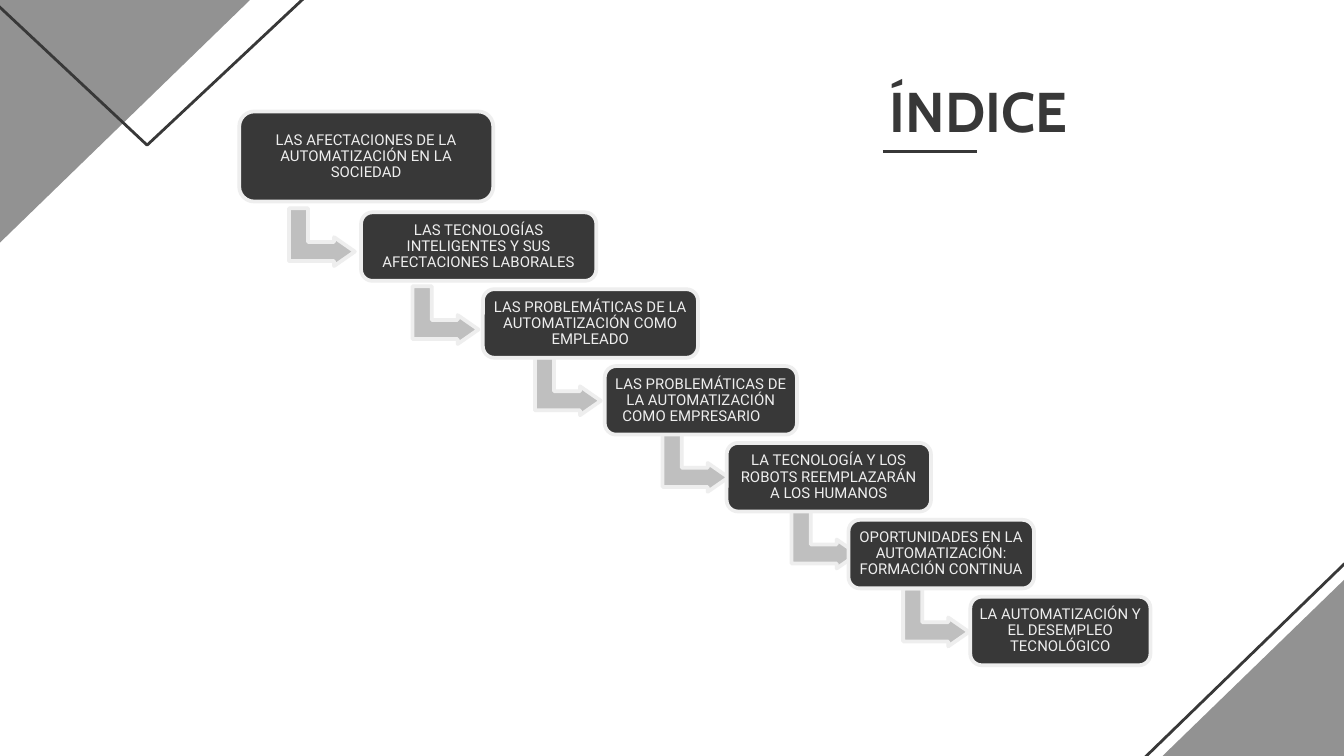
"""Build the index slide: a staircase of topics joined by bent arrows."""
from typing import NamedTuple, Optional

from lxml import etree
from pptx import Presentation
from pptx.dml.color import RGBColor
from pptx.enum import shapes, text
from pptx.oxml.ns import qn
from pptx.util import Inches, Pt

DARK, GREY, SILVER, PALE = "383838", "929292", "BFBFBF", "EEEEEE"
PRESETS = shapes.MSO_SHAPE


class Corner(NamedTuple):
    preset: int
    left: float
    top: float
    width: float
    height: float
    rotation: int
    fill: Optional[str] = None
    line: Optional[str] = None


class Step(NamedTuple):
    topic: str
    width: float
    arrow_left: Optional[float] = None
    arrow_top: Optional[float] = None


CORNERS = [
    Corner(PRESETS.RIGHT_TRIANGLE, 7.68, 2.84, 3.72, 3.61, 0, line=DARK),
    Corner(PRESETS.RIGHT_TRIANGLE, 7.8, 2.84, 3.72, 3.61, 0, fill=GREY),
    Corner(PRESETS.RIGHT_TRIANGLE, -0.83, -1, 3.72, 3.61, 180, fill=GREY),
    Corner(PRESETS.ISOSCELES_TRIANGLE, -1.84, -1.67, 5.87, 2.75, 180, line=DARK),
]

STEPS = [
    Step("LAS AFECTACIONES DE LA AUTOMATIZACIÓN EN LA SOCIEDAD", 1.89, 2.18, 1.52),
    Step("LAS TECNOLOGÍAS INTELIGENTES Y SUS AFECTACIONES LABORALES", 1.75, 3.1, 2.1),
    Step("LAS PROBLEMÁTICAS DE LA AUTOMATIZACIÓN COMO EMPLEADO", 1.6, 4.01, 2.63),
    Step("LAS PROBLEMÁTICAS DE LA AUTOMATIZACIÓN COMO EMPRESARIO\t", 1.43, 4.96, 3.2),
    Step("LA TECNOLOGÍA Y LOS ROBOTS REEMPLAZARÁN A LOS HUMANOS", 1.52, 5.92, 3.77),
    Step("OPORTUNIDADES EN LA AUTOMATIZACIÓN: FORMACIÓN CONTINUA", 1.38, 6.75, 4.35),
    Step("LA AUTOMATIZACIÓN Y EL DESEMPLEO TECNOLÓGICO", 1.34),
]


def colour(value: str) -> RGBColor:
    return RGBColor.from_string(value)


def add_preset(slide, preset, left: float, top: float, width: float, height: float,
               fill: Optional[str], line: Optional[str], weight: float):
    shape = slide.shapes.add_shape(
        preset, Inches(left), Inches(top), Inches(width), Inches(height))
    shape.shadow.inherit = False
    if fill:
        shape.fill.solid()
        shape.fill.fore_color.rgb = colour(fill)
    else:
        shape.fill.background()
    if line:
        shape.line.color.rgb = colour(line)
        shape.line.width = Pt(weight)
    else:
        shape.line.fill.background()
    return shape


def write(frame, words: str, font: str, size: float, ink: str, inset: int, bold: bool):
    frame.word_wrap = True
    frame.margin_left = frame.margin_right = inset
    frame.margin_top = frame.margin_bottom = inset
    frame.text = words
    paragraph = frame.paragraphs[0]
    paragraph.alignment = text.PP_ALIGN.CENTER
    for run in paragraph.runs:
        run.font.name = font
        run.font.size = Pt(size)
        run.font.bold = bold
        run.font.color.rgb = colour(ink)
    return paragraph


def draw_corner(slide, corner: Corner) -> None:
    triangle = add_preset(slide, *corner[:5], corner.fill, corner.line, 1.5)
    triangle.rotation = corner.rotation
    triangle._element.spPr.find(qn("a:xfrm")).set("flipH", "1")


def draw_title(slide) -> None:
    title = slide.shapes.add_textbox(
        Inches(5.64), Inches(0.47), Inches(3.28), Inches(0.58))
    write(title.text_frame, "ÍNDICE", "Cabin", 30, DARK, Inches(0.1), True)
    underline = slide.shapes.add_connector(
        shapes.MSO_CONNECTOR.STRAIGHT,
        Inches(6.57), Inches(1.13), Inches(7.27), Inches(1.13))
    underline.line.color.rgb = colour(DARK)
    underline.line.width = Pt(1.5)
    etree.SubElement(underline._element.spPr, qn("a:effectLst"))


def draw_step(slide, index: int, step: Step) -> None:
    if step.arrow_left is not None:
        arrow = add_preset(slide, PRESETS.BENT_UP_ARROW, step.arrow_left, step.arrow_top,
                           0.43, 0.49, SILVER, PALE, 2)
        arrow.rotation = 90
        for position, value in enumerate((0.33, 0.25, 0.36)):
            arrow.adjustments[position] = value
    left = 1.78 + index * 5.44 / 6
    top, height = (1.58 + (index - 1) * 2.86 / 5, 0.51) if index else (0.83, 0.67)
    box = add_preset(slide, PRESETS.ROUNDED_RECTANGLE, left, top, step.width, height,
                     DARK, PALE, 2)
    box.text_frame.vertical_anchor = text.MSO_ANCHOR.MIDDLE
    paragraph = write(box.text_frame, step.topic, "Roboto", 8, PALE, Pt(2.6), False)
    paragraph.line_spacing = 0.9
    paragraph._p.get_or_add_pPr().set("defTabSz", str(Pt(28)))


def main() -> None:
    deck = Presentation()
    deck.slide_width, deck.slide_height = Inches(10), Inches(10 * 9 / 16)
    slide = deck.slides.add_slide(deck.slide_layouts[6])
    for corner in CORNERS:
        draw_corner(slide, corner)
    draw_title(slide)
    for index, step in enumerate(STEPS):
        draw_step(slide, index, step)
    deck.save("out.pptx")


if __name__ == "__main__":
    main()
